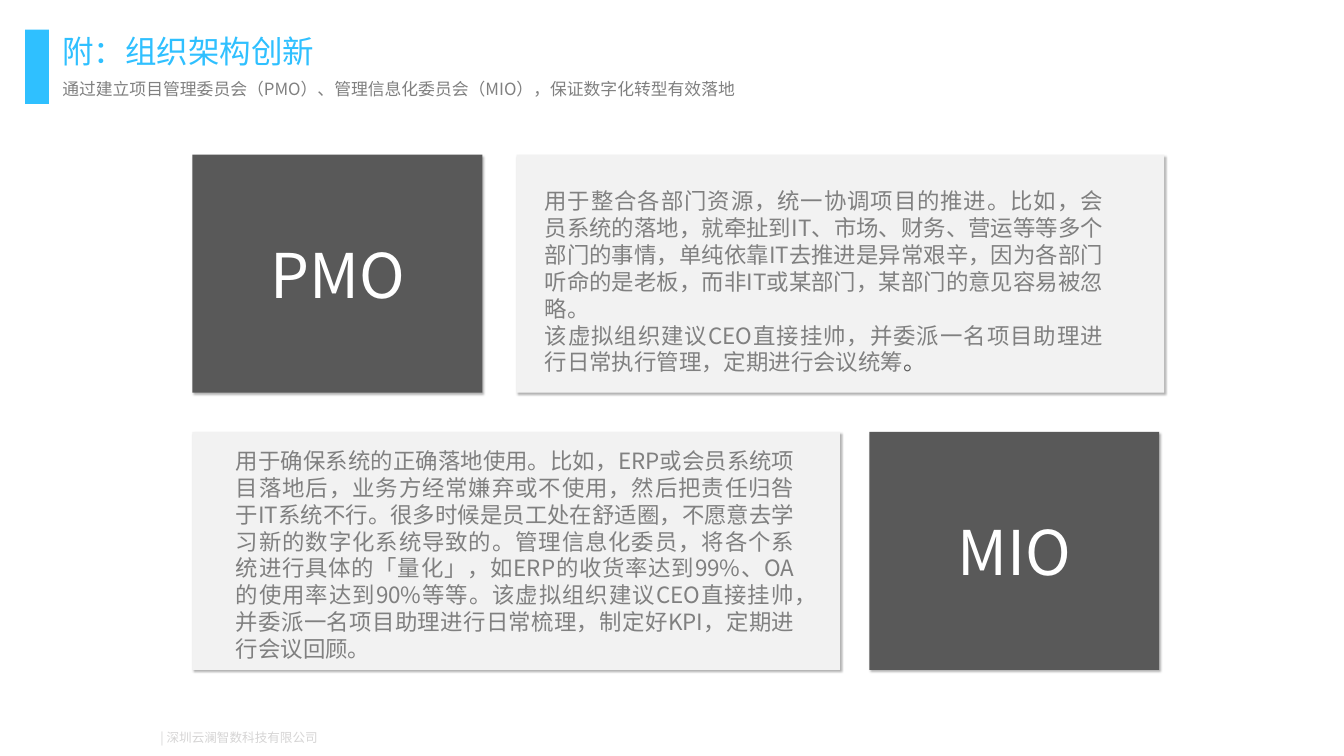
"""Build the organisation structure slide with its PMO and MIO panels."""
import pptx
import pptx.dml.color
import pptx.enum.shapes
import pptx.enum.text
import pptx.oxml
import pptx.oxml.ns
import pptx.util

Pt = pptx.util.Pt
ALIGN = pptx.enum.text.PP_ALIGN
ANCHOR = pptx.enum.text.MSO_ANCHOR
FONT = "Noto Sans CJK SC"
COLORS = {
    "accent": "2FC0FF", "dark": "595959", "panel": "F2F2F2",
    "body": "808080", "footer": "D6D5D5", "white": "FFFFFF",
}
TITLE = "附：组织架构创新"
SUBTITLE = "通过建立项目管理委员会（PMO）、管理信息化委员会（MIO），保证数字化转型有效落地"
FOOTER = "| 深圳云澜智数科技有限公司"

ROW_TOPS = (221, 617)
ROW_H, TILE_W, PANEL_W = 340, 414, 925
LABEL_W, LABEL_H = 306, 118
BODY_W = 812

ROWS = [
    {
        "label": "PMO", "tile_x": 275, "panel_x": 738,
        "body_x": 771, "body_y": 264, "body_h": 279,
        "body": [
            "用于整合各部门资源，统一协调项目的推进。比如，会员系统的落地，就牵扯到IT、市场、财务、营运等等多个部门的事情，单纯依靠IT去推进是异常艰辛，因为各部门听命的是老板，而非IT或某部门，某部门的意见容易被忽略。",
            [("该虚拟组织建议CEO直接挂帅，并委派一名项目助理进行日常执行管理，定期进行会议统筹", "body"),
             ("。", "dark")],
        ],
    },
    {
        "label": "MIO", "tile_x": 1242, "panel_x": 275,
        "body_x": 330, "body_y": 635, "body_h": 318,
        "body": [
            "用于确保系统的正确落地使用。比如，ERP或会员系统项目落地后，业务方经常嫌弃或不使用，然后把责任归咎于IT系统不行。很多时候是员工处在舒适圈，不愿意去学习新的数字化系统导致的。管理信息化委员，将各个系统进行具体的「量化」，如ERP的收货率达到99%、OA的使用率达到90%等等。该虚拟组织建议CEO直接挂帅，并委派一名项目助理进行日常梳理，制定好KPI，定期进行会议回顾。",
        ],
    },
]

SHADOW = (
    '<a:effectLst xmlns:a="http://schemas.openxmlformats.org/drawingml/2006/main">'
    '<a:outerShdw blurRad="38100" dist="38100" dir="3600000" algn="tl" rotWithShape="0">'
    '<a:srgbClr val="000000"><a:alpha val="30000"/></a:srgbClr>'
    '</a:outerShdw></a:effectLst>'
)


def rgb(name):
    return pptx.dml.color.RGBColor.from_string(COLORS[name])


def add_rect(slide, box, color, shadow=False):
    sp = slide.shapes.add_shape(
        pptx.enum.shapes.MSO_SHAPE.RECTANGLE, *map(Pt, box))
    sp.fill.solid()
    sp.fill.fore_color.rgb = rgb(color)
    sp.line.fill.background()
    sp.shadow.inherit = False
    if shadow:
        props = sp._element.spPr
        props.remove(props.find(pptx.oxml.ns.qn("a:effectLst")))
        props.append(pptx.oxml.parse_xml(SHADOW))


def add_text(slide, box, paragraphs, size, color, align=ALIGN.LEFT,
             anchor=ANCHOR.MIDDLE, insets=(6, 6)):
    tf = slide.shapes.add_textbox(*map(Pt, box)).text_frame
    tf.word_wrap = True
    tf.vertical_anchor = anchor
    tf.margin_left = tf.margin_right = Pt(insets[0])
    tf.margin_top = tf.margin_bottom = Pt(insets[1])
    for i, runs in enumerate(paragraphs):
        p = tf.add_paragraph() if i else tf.paragraphs[0]
        p.alignment = align
        p.line_spacing = Pt(round(size * 1.2, 1))
        for text, run_color in [(runs, color)] if isinstance(runs, str) else runs:
            r = p.add_run()
            r.text = text
            r.font.size = Pt(size)
            r.font.name = FONT
            r.font.color.rgb = rgb(run_color)
            ea = pptx.oxml.parse_xml(
                '<a:ea xmlns:a="http://schemas.openxmlformats.org/drawingml/2006/main" '
                f'typeface="{FONT}"/>')
            r.font._element.find(pptx.oxml.ns.qn("a:latin")).addnext(ea)


def main():
    prs = pptx.Presentation()
    prs.slide_width, prs.slide_height = Pt(1920), Pt(1080)
    slide = prs.slides.add_slide(prs.slide_layouts[6])

    add_rect(slide, (36, 42.5, 34, 106), "accent")
    add_text(slide, (223, 1038, 237, 30), [FOOTER], 18, "footer", ALIGN.CENTER)
    add_text(slide, (83, 42.5, 1745, 60), [TITLE], 45, "accent")
    add_text(slide, (83, 91.5, 1117, 70), [SUBTITLE], 24, "body")

    for top, row in zip(ROW_TOPS, ROWS):
        add_rect(slide, (row["panel_x"], top, PANEL_W, ROW_H), "panel", shadow=True)
        add_rect(slide, (row["tile_x"], top, TILE_W, ROW_H), "dark", shadow=True)
        label_box = (row["tile_x"] + (TILE_W - LABEL_W) / 2,
                     top + (ROW_H - LABEL_H) / 2, LABEL_W, LABEL_H)
        add_text(slide, label_box, [row["label"]], 88, "white", ALIGN.CENTER)
        add_text(slide, (row["body_x"], row["body_y"], BODY_W, row["body_h"]),
                 row["body"], 32, "body", ALIGN.JUSTIFY, ANCHOR.TOP, (7.2, 3.6))

    prs.save("out.pptx")


if __name__ == "__main__":
    main()
